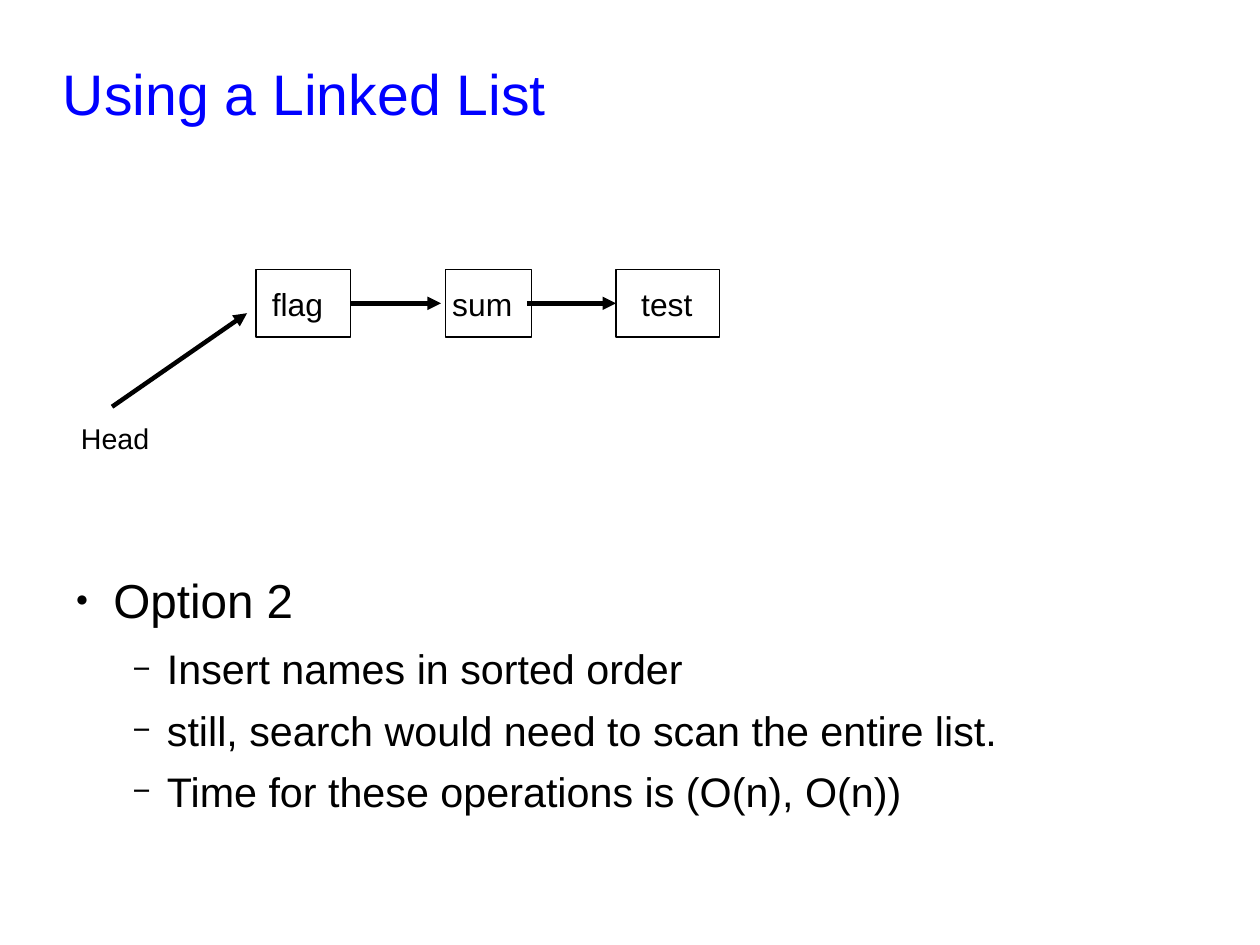
"""Build the slide on inserting names into a sorted linked list."""
from dataclasses import dataclass

from lxml import etree
from pptx import Presentation
from pptx.dml.color import RGBColor
from pptx.enum.shapes import MSO_CONNECTOR, MSO_SHAPE
from pptx.enum.text import MSO_ANCHOR
from pptx.oxml.ns import qn
from pptx.util import Cm, Pt

RECTANGLE = MSO_SHAPE.RECTANGLE
STRAIGHT = MSO_CONNECTOR.STRAIGHT
TOP, MIDDLE = MSO_ANCHOR.TOP, MSO_ANCHOR.MIDDLE
LEFT_SIDE, RIGHT_SIDE = 1, 3
NODE_TOP, NODE_HEIGHT = 5.99, 1.5
NODE_MIDDLE = NODE_TOP + NODE_HEIGHT / 2
LABEL_WIDTH, LABEL_HEIGHT = 2.01, 1.3


@dataclass(frozen=True)
class Theme:
    font: str = "Arial"
    title_color: RGBColor = RGBColor(0x00, 0x00, 0xFF)
    ink: RGBColor = RGBColor(0x00, 0x00, 0x00)
    title_size: int = 36
    node_size: int = 20
    head_size: int = 18
    border_width: float = 0.75
    arrow_width: float = 2.83
    line_spacing: float = 1.24
    list_spacing: float = 1.14


@dataclass(frozen=True)
class Level:
    size: int
    indent: float
    hanging: float
    space_after: float
    bullet: str
    bullet_percent: int


@dataclass(frozen=True)
class Node:
    name: str
    left: float
    width: float
    label_left: float


THEME = Theme()
OPTION = Level(30, 1.12, 0.84, 5.8, "●", 45)
DETAIL = Level(26, 2.31, 0.76, 2.9, "−", 75)
POINTS = (
    (OPTION, "Option 2"),
    (DETAIL, "Insert names in sorted order"),
    (DETAIL, "still, search would need to scan the entire list."),
    (DETAIL, "Time for these operations is (O(n), O(n))"),
)
NODES = (
    Node("flag", 5.69, 2.11, 5.79),
    Node("sum", 9.91, 1.9, 9.8),
    Node("test", 13.69, 2.31, 14),
)


def add_frame(page, left: float, top: float, width: float, height: float,
              margins: tuple[float, float] = (0, 0), anchor=TOP):
    """Add a wrapping text box and return its text frame."""
    frame = page.shapes.add_textbox(Cm(left), Cm(top), Cm(width), Cm(height)).text_frame
    frame.word_wrap = True
    frame.vertical_anchor = anchor
    frame.margin_left = frame.margin_right = Cm(margins[0])
    frame.margin_top = frame.margin_bottom = Cm(margins[1])
    return frame


def write(para, text: str, size: int, color: RGBColor = THEME.ink,
          spacing: float = THEME.line_spacing) -> None:
    """Fill a paragraph with text in the theme font."""
    para.text = text
    para.line_spacing = spacing
    para.font.name = THEME.font
    para.font.size = Pt(size)
    para.font.color.rgb = color


def add_bullet(para, level: Level) -> None:
    """Give a paragraph the bullet and hanging indent of its level."""
    properties = para._p.get_or_add_pPr()
    properties.set("marL", str(Cm(level.indent)))
    properties.set("indent", str(-Cm(level.hanging)))
    color = etree.SubElement(properties, qn("a:buClr"))
    etree.SubElement(color, qn("a:srgbClr"), val=str(THEME.ink))
    etree.SubElement(properties, qn("a:buSzPct"), val=str(level.bullet_percent * 1000))
    etree.SubElement(properties, qn("a:buFont"), typeface=THEME.font)
    etree.SubElement(properties, qn("a:buChar"), char=level.bullet)


def add_points(page) -> None:
    """Write the bulleted list below the diagram."""
    frame = add_frame(page, 1.4, 12.5, 25.15, 6.07)
    for index, (level, text) in enumerate(POINTS):
        para = frame.add_paragraph() if index else frame.paragraphs[0]
        para.level = int(level is DETAIL)
        add_bullet(para, level)
        write(para, text, level.size, spacing=THEME.list_spacing)
        para.space_after = Pt(level.space_after)


def add_node(page, node: Node):
    """Draw one list node with its label and return the rectangle."""
    label = add_frame(page, node.label_left, NODE_TOP, LABEL_WIDTH, LABEL_HEIGHT, (0.25, 0.13))
    write(label.paragraphs[0], node.name, THEME.node_size)
    box = page.shapes.add_shape(RECTANGLE, Cm(node.left), Cm(NODE_TOP),
                                Cm(node.width), Cm(NODE_HEIGHT))
    box.shadow.inherit = False
    box.fill.background()
    box.line.color.rgb = THEME.ink
    box.line.width = Pt(THEME.border_width)
    return box


def add_arrow(page, start: tuple[float, float], end: tuple[float, float]):
    """Draw a straight arrow and return the connector."""
    arrow = page.shapes.add_connector(STRAIGHT, Cm(start[0]), Cm(start[1]),
                                      Cm(end[0]), Cm(end[1]))
    arrow.line.color.rgb = THEME.ink
    arrow.line.width = Pt(THEME.arrow_width)
    etree.SubElement(arrow.line._get_or_add_ln(), qn("a:tailEnd"), type="triangle")
    etree.SubElement(arrow._element.spPr, qn("a:effectLst"))
    return arrow


def main() -> None:
    """Build the deck and save it."""
    deck = Presentation()
    deck.slide_width, deck.slide_height = Cm(28), Cm(21)
    page = deck.slides.add_slide(deck.slide_layouts[6])

    title = add_frame(page, 1.4, 0.94, 25.15, 1.88, anchor=MIDDLE)
    write(title.paragraphs[0], "Using a Linked List", THEME.title_size, THEME.title_color)
    add_points(page)

    flag_box, _, test_box = [add_node(page, node) for node in NODES]
    flag_arrow = add_arrow(page, (7.8, NODE_MIDDLE), (9.8, NODE_MIDDLE))
    flag_arrow.begin_connect(flag_box, RIGHT_SIDE)
    sum_arrow = add_arrow(page, (11.71, NODE_MIDDLE), (13.69, NODE_MIDDLE))
    sum_arrow.end_connect(test_box, LEFT_SIDE)

    head = add_frame(page, 1.5, 8.99, 2.49, LABEL_HEIGHT, (0.3, 0.18))
    write(head.paragraphs[0], "Head", THEME.head_size)
    add_arrow(page, (2.49, 9.04), (5.49, 6.96))
    deck.save("out.pptx")


if __name__ == "__main__":
    main()
